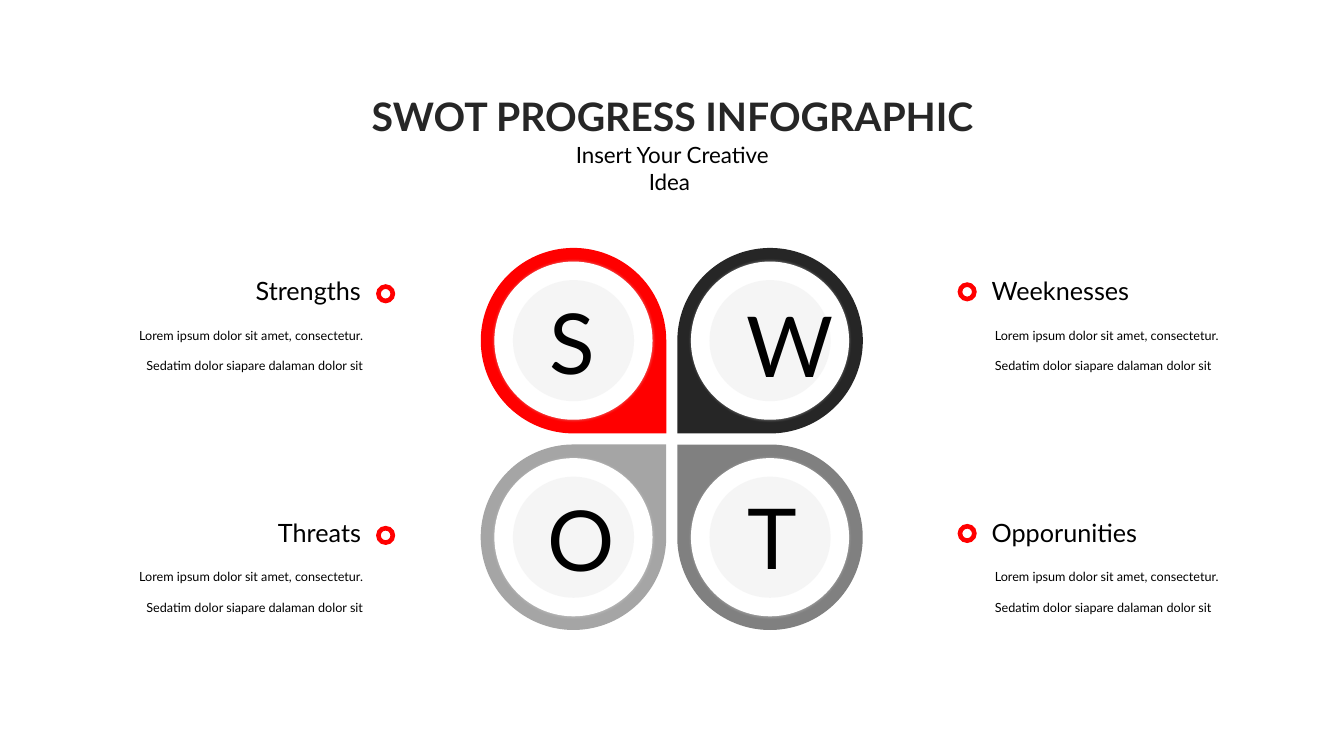
import pptx
import pptx.util
import pptx.dml.color
import pptx.enum.shapes
import pptx.enum.text
import pptx.oxml
import pptx.oxml.ns

Pt = pptx.util.Pt
RGB = pptx.dml.color.RGBColor.from_string
SHAPE = pptx.enum.shapes.MSO_SHAPE
ALIGN = pptx.enum.text.PP_ALIGN
FIT = pptx.enum.text.MSO_AUTO_SIZE.SHAPE_TO_FIT_TEXT
TOP = pptx.enum.text.MSO_ANCHOR.TOP
NS = pptx.oxml.ns.nsdecls("a")

COLORS = {
    "red": "FF0000", "ink": "262626", "gray": "808080", "silver": "A5A5A5",
    "white": "FFFFFF", "disc": "F2F2F2", "shadow": "D9D9D9", "text": "000000",
}
LOREM = ("Lorem ipsum dolor sit amet, consectetur. "
         "Sedatim dolor siapare dalaman dolor sit")

# Petals: letter, column, row, rotation, colour, letter offset in the petal
PETAL, PITCH = 132.5, 140.4
PETALS = [
    ("W", 1, 0, 180, "ink", 42.5, 28.8),
    ("T", 1, 1, 270, "gray", 42.5, 25.9),
    ("O", 0, 1, 0, "silver", 40.4, 27.4),
    ("S", 0, 0, 90, "red", 39.6, 26.6),
]

# Notes: lengths are offsets from the left and top of each note
LEFT = {"align": ALIGN.RIGHT, "head": (30.9, 145.4), "body": (0, 170.6), "ring": (180, 10)}
RIGHT = {"align": ALIGN.LEFT, "head": (17.3, 143.3), "body": (26.6, 164.2), "ring": (0, 8.6)}
NOTES = [
    ("Strengths", 88.6, 193, LEFT),
    ("Weeknesses", 684, 193, RIGHT),
    ("Threats", 88.6, 365.6, LEFT),
    ("Opporunities", 684, 365.6, RIGHT),
]


def fill_text(sp, text, size, align, color="text", bold=False, spacing=None, inset=None):
    tf = sp.text_frame
    frame = {"word_wrap": True, "auto_size": FIT, "vertical_anchor": TOP}
    if inset is not None:
        for side in ("left", "top", "right", "bottom"):
            frame["margin_" + side] = Pt(inset)
    for name, value in frame.items():
        setattr(tf, name, value)
    p = tf.paragraphs[0]
    p.alignment = align
    if spacing:
        p.line_spacing = spacing
    r = p.add_run()
    r.text = text
    for name, value in {"name": "Lato", "size": Pt(size), "bold": bold}.items():
        setattr(r.font, name, value)
    r.font.color.rgb = RGB(COLORS[color])


def add_text(shapes, x, y, w, h, *args, **kwargs):
    sp = shapes.add_textbox(Pt(x), Pt(y), Pt(w), Pt(h))
    fill_text(sp, *args, **kwargs)


def add_shape(shapes, kind, x, y, size, color):
    sp = shapes.add_shape(kind, Pt(x), Pt(y), Pt(size), Pt(size))
    sp.shadow.inherit = False
    sp.fill.solid()
    sp.fill.fore_color.rgb = RGB(COLORS[color])
    sp.line.fill.background()
    return sp


def add_header(slide, x, y, w):
    title = slide.shapes.title
    box = {"left": x, "top": y, "width": w, "height": 41}
    for name, value in box.items():
        setattr(title, name, Pt(value))
    fill_text(title, "SWOT PROGRESS INFOGRAPHIC", 28, ALIGN.CENTER, "ink", True)
    add_text(slide.shapes, x + 156.2, y + 34.6, 175.7, 46,
             "Insert Your Creative Idea ", 16, ALIGN.CENTER)


def add_petal(shapes, x, y, rotation, color):
    leaf = add_shape(shapes, SHAPE.TEAR, x, y, PETAL, color)
    leaf.rotation = rotation
    # White plate with a soft shadow
    plate = add_shape(shapes, SHAPE.OVAL, x + 9.75, y + 9.75, PETAL - 19.5, "white")
    effects = plate._element.spPr.find(pptx.oxml.ns.qn("a:effectLst"))
    effects.append(pptx.oxml.parse_xml(
        f'<a:outerShdw {NS} blurRad="{Pt(2)}" dist="0" dir="0" algn="ctr" rotWithShape="0">'
        f'<a:srgbClr val="{COLORS["shadow"]}"><a:alpha val="40000"/></a:srgbClr>'
        '</a:outerShdw>'))
    # Translucent inner disc
    disc = add_shape(shapes, SHAPE.OVAL, x + 23, y + 23, PETAL - 46, "disc")
    tint = disc._element.spPr.find(".//" + pptx.oxml.ns.qn("a:srgbClr"))
    tint.append(pptx.oxml.parse_xml(f'<a:alpha {NS} val="70000"/>'))


def add_flower(slide, x, y):
    group = slide.shapes.add_group_shape()
    for letter, col, row, rotation, color, dx, dy in PETALS:
        left, top = x + col * PITCH, y + row * PITCH
        add_petal(group.shapes, left, top, rotation, color)
        add_text(slide.shapes, left + dx, top + dy, 51.1, 80, letter, 60, ALIGN.CENTER)


def add_note(slide, heading, x, y, side):
    dx, w = side["head"]
    add_text(slide.shapes, x + dx, y, w, 29, heading, 18, side["align"])
    dx, w = side["body"]
    add_text(slide.shapes, x + dx, y + 30.2, w, 65.5, LOREM, 9, side["align"],
             spacing=2.0, inset=0)
    dx, dy = side["ring"]
    add_shape(slide.shapes, SHAPE.DONUT, x + dx, y + dy, 13.7, "red")


def main():
    prs = pptx.Presentation()
    prs.slide_width, prs.slide_height = Pt(960), Pt(540)
    slide = prs.slides.add_slide(prs.slide_layouts[5])
    add_header(slide, 236.2, 62.6, 488.2)
    add_flower(slide, 343.4, 177.1)
    for note in NOTES:
        add_note(slide, *note)
    prs.save("out.pptx")


if __name__ == "__main__":
    main()
